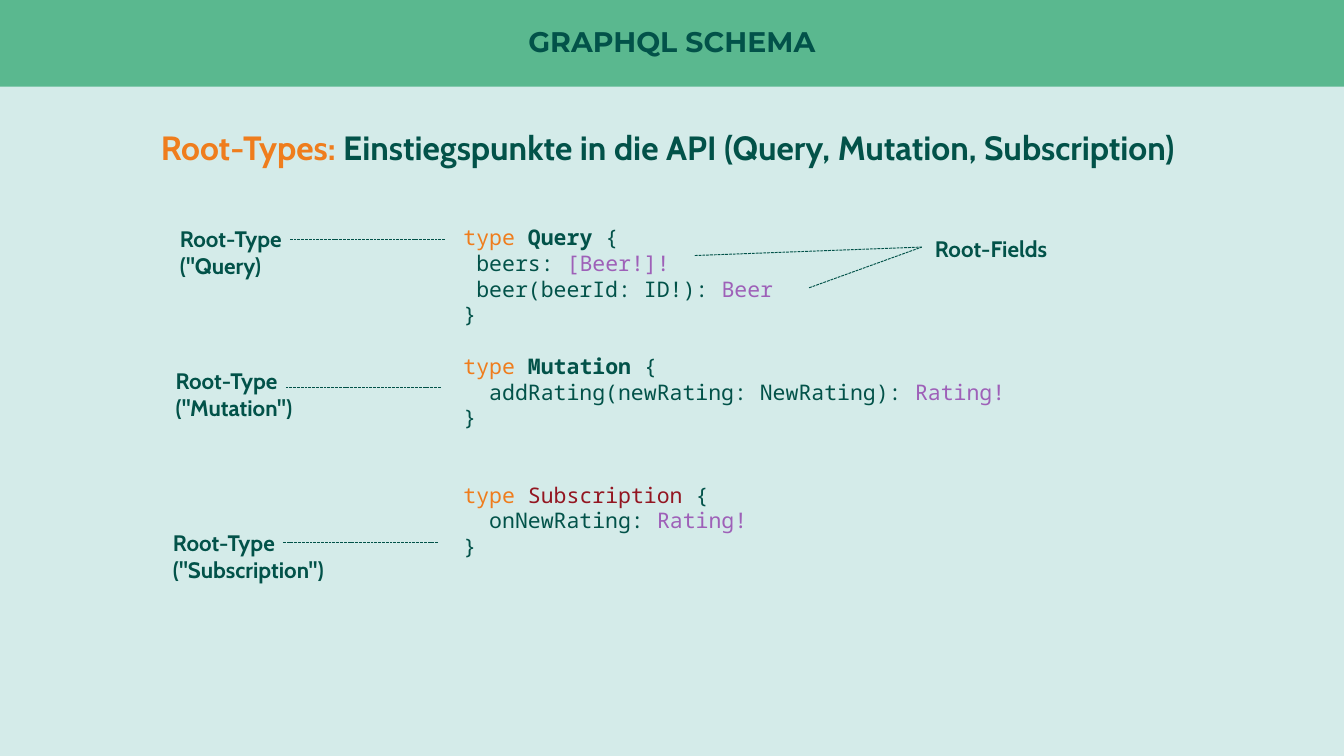
import pptx
import pptx.dml.color
import pptx.enum.dml
import pptx.enum.shapes
import pptx.enum.text
import pptx.oxml.ns
import lxml.etree
from pptx.util import Cm, Pt

RGBColor = pptx.dml.color.RGBColor
MINT = RGBColor(0xD4, 0xEB, 0xE9)
GREEN = RGBColor(0x5A, 0xB8, 0x8F)
DARK = RGBColor(0x02, 0x52, 0x49)
ORANGE = RGBColor(0xEF, 0x7D, 0x1D)
PURPLE = RGBColor(0x9E, 0x60, 0xB8)
RED = RGBColor(0x93, 0x16, 0x21)

CODE_PITCH = 13.8  # points from one code line to the next

# Each type: lines of (text, colour, bold) pieces, and blank lines above it
CODE_TYPES = [
    (0, [[("type ", ORANGE, False), ("Query", DARK, True), (" {", DARK, False)],
         [(" beers: ", DARK, False), ("[Beer!]!", PURPLE, False)],
         [(" beer(beerId: ID!): ", DARK, False), ("Beer", PURPLE, False)],
         [("}", DARK, False)]]),
    (1, [[("type ", ORANGE, False), ("Mutation", DARK, True), (" {", DARK, False)],
         [("  addRating(newRating: NewRating): ", DARK, False), ("Rating!", PURPLE, False)],
         [("}", DARK, False)]]),
    (2, [[("type ", ORANGE, False), ("Subscription", RED, False), (" {", DARK, False)],
         [("  onNewRating: ", DARK, False), ("Rating!", PURPLE, False)],
         [("}", DARK, False)]]),
]

# Label text, left, top and height of its line, in cm
ROOT_TYPES = [
    ('Root-Type\n("Query)', 3.15, 4.14, 4.52),
    ('Root-Type\n("Mutation")', 3.07, 6.81, 7.32),
    ('Root-Type\n("Subscription")', 3.02, 9.88, 10.26),
]


def format_font(font, name, size, color, bold):
    font.name = name
    font.size = Pt(size)
    font.color.rgb = color
    font.bold = bold


def add_pieces(paragraph, pieces, name, size):
    for text, color, bold in pieces:
        run = paragraph.add_run()
        run.text = text
        format_font(run.font, name, size, color, bold)


def add_text_frame(slide, left, top, width, height):
    frame = slide.shapes.add_textbox(Cm(left), Cm(top), Cm(width), Cm(height)).text_frame
    frame.word_wrap = True
    return frame


def set_title(slide, text):
    title = slide.shapes.title
    title.left, title.top, title.width, title.height = 0, 0, Cm(25.4), Cm(1.64)
    title.fill.solid()
    title.fill.fore_color.rgb = GREEN
    frame = title.text_frame
    frame.text = text
    frame.auto_size = pptx.enum.text.MSO_AUTO_SIZE.NONE
    frame.vertical_anchor = pptx.enum.text.MSO_ANCHOR.MIDDLE
    frame.margin_left = frame.margin_right = frame.margin_top = frame.margin_bottom = 0
    paragraph = frame.paragraphs[0]
    paragraph.alignment = pptx.enum.text.PP_ALIGN.CENTER
    paragraph.line_spacing = 0.9
    format_font(paragraph.runs[0].font, "Montserrat", 15.2, DARK, True)


def add_heading(slide):
    paragraph = add_text_frame(slide, 2.79, 2.13, 19.79, 2.03).paragraphs[0]
    paragraph.line_spacing = 1.2
    add_pieces(paragraph, [
        ("Root-Types: ", ORANGE, True),
        ("Einstiegspunkte in die API (Query, Mutation, Subscription)", DARK, True),
    ], "Cabin", 18)


def add_code(slide):
    frame = add_text_frame(slide, 8.51, 4.11, 13.1, 7.14)
    paragraph = frame.paragraphs[0]
    for blank_lines, lines in CODE_TYPES:
        for number, pieces in enumerate(lines):
            if paragraph.runs:
                paragraph = frame.add_paragraph()
            paragraph.line_spacing = Pt(CODE_PITCH)
            if number == 0 and blank_lines:
                paragraph.space_before = Pt(blank_lines * CODE_PITCH)
            add_pieces(paragraph, pieces, "Noto Sans Mono", 11.5)


def add_label(slide, text, left, top, height):
    frame = add_text_frame(slide, left, top, 6.1, height)
    frame.text = text
    for paragraph in frame.paragraphs:
        format_font(paragraph.runs[0].font, "Cabin", 12, DARK, True)


def add_dashed_line(slide, x1, y1, x2, y2):
    pointer = slide.shapes.add_connector(
        pptx.enum.shapes.MSO_CONNECTOR.STRAIGHT, Cm(x1), Cm(y1), Cm(x2), Cm(y2))
    pointer.line.color.rgb = DARK
    pointer.line.width = Pt(0.5)
    pointer.line.dash_style = pptx.enum.dml.MSO_LINE.SQUARE_DOT
    properties = pointer._element.spPr
    lxml.etree.SubElement(properties, pptx.oxml.ns.qn("a:effectLst"))


def main():
    presentation = pptx.Presentation()
    presentation.slide_width, presentation.slide_height = Cm(25.4), Cm(14.29)
    slide = presentation.slides.add_slide(presentation.slide_layouts[5])
    slide.background.fill.solid()
    slide.background.fill.fore_color.rgb = MINT

    # Title band, heading and schema
    set_title(slide, "GRAPHQL SCHEMA")
    add_heading(slide)
    add_code(slide)

    # Root types on the left
    for text, left, top, line_y in ROOT_TYPES:
        add_label(slide, text, left, top, 1.27)
        add_dashed_line(slide, left + 5.26, line_y, left + 2.31, line_y)

    # Root fields on the right
    add_label(slide, "Root-Fields", 17.42, 4.32, 0.76)
    for field_x, field_y in [(13.13, 4.83), (15.29, 5.44)]:
        add_dashed_line(slide, field_x, field_y, 17.42, 4.67)

    presentation.save("out.pptx")


if __name__ == "__main__":
    main()
